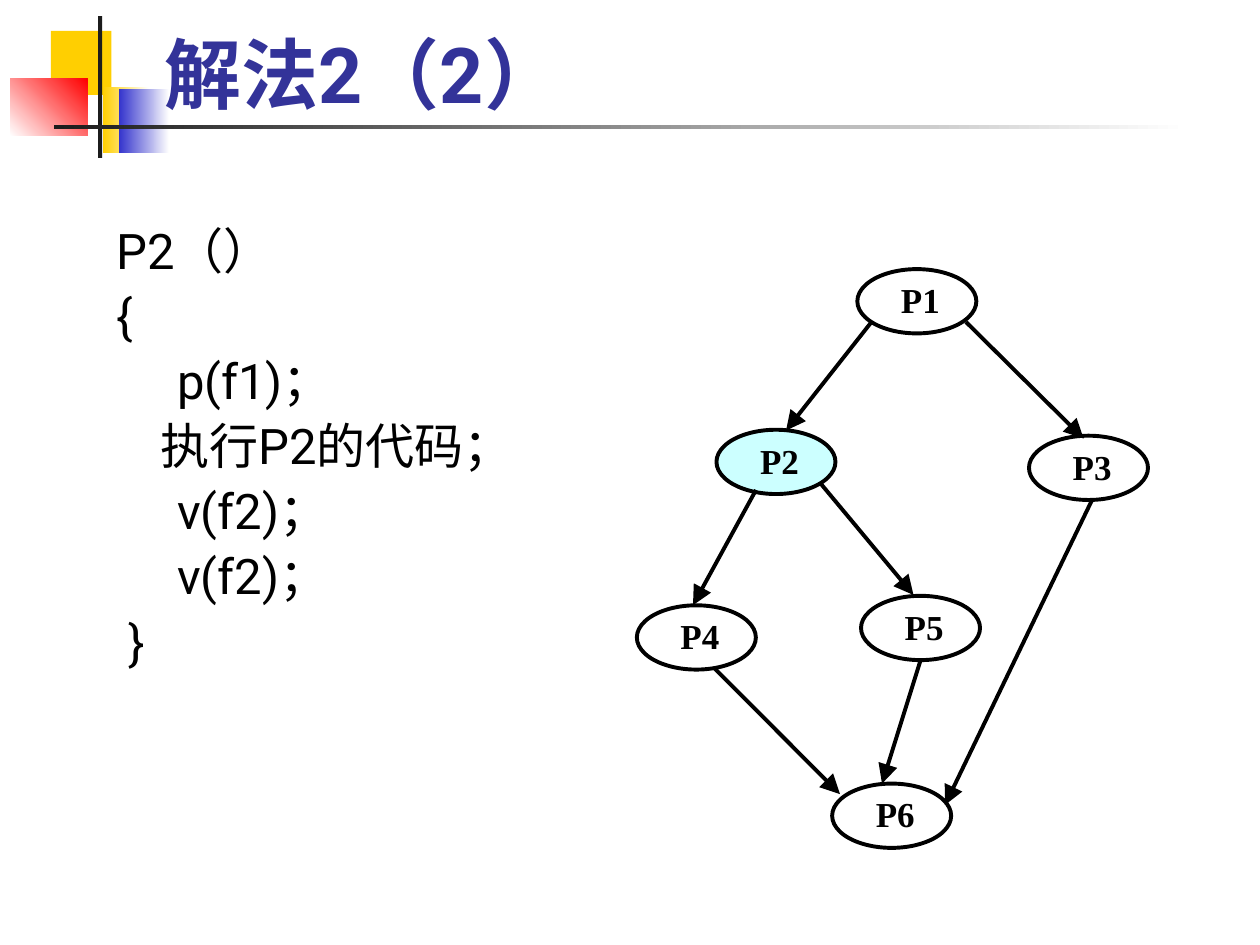
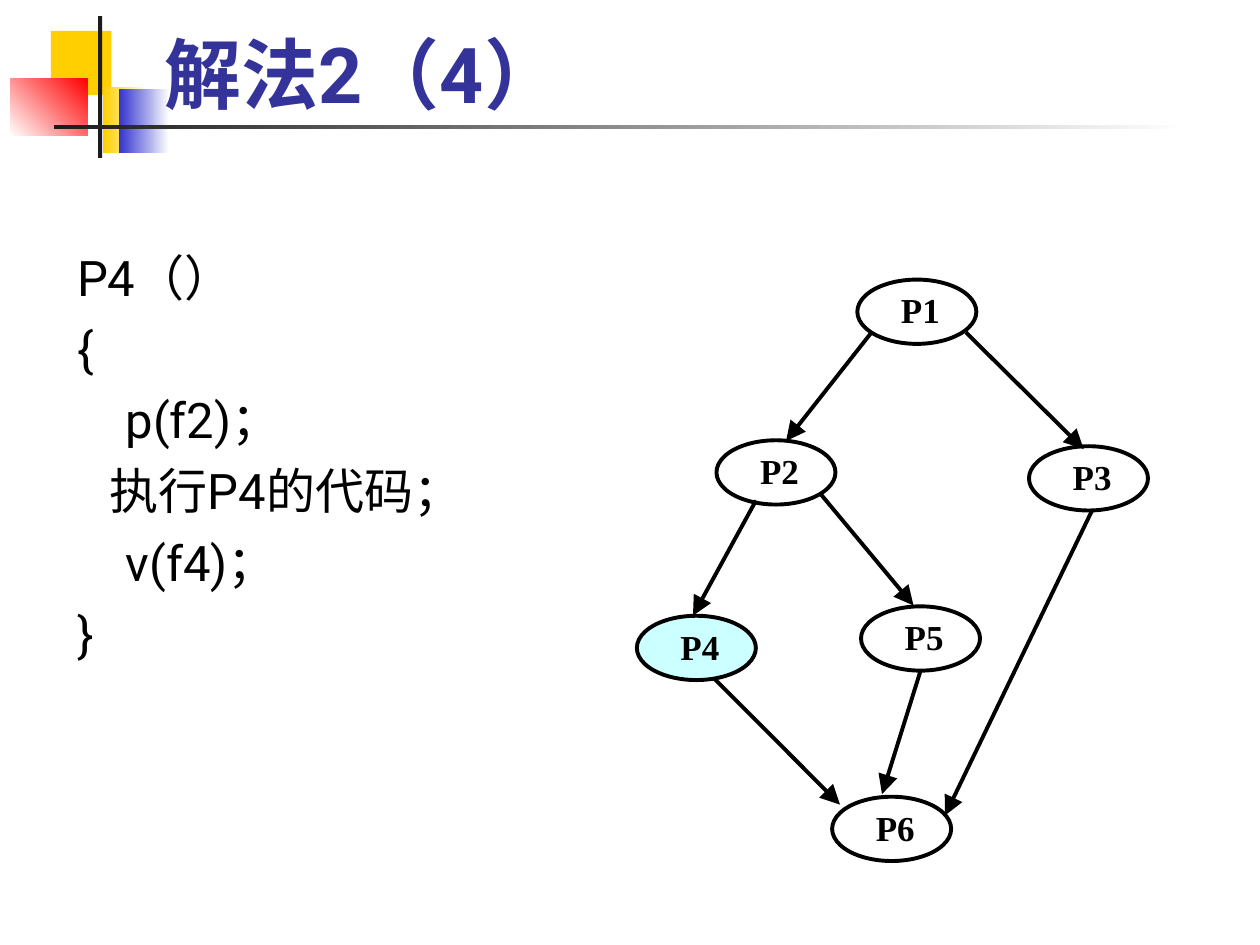
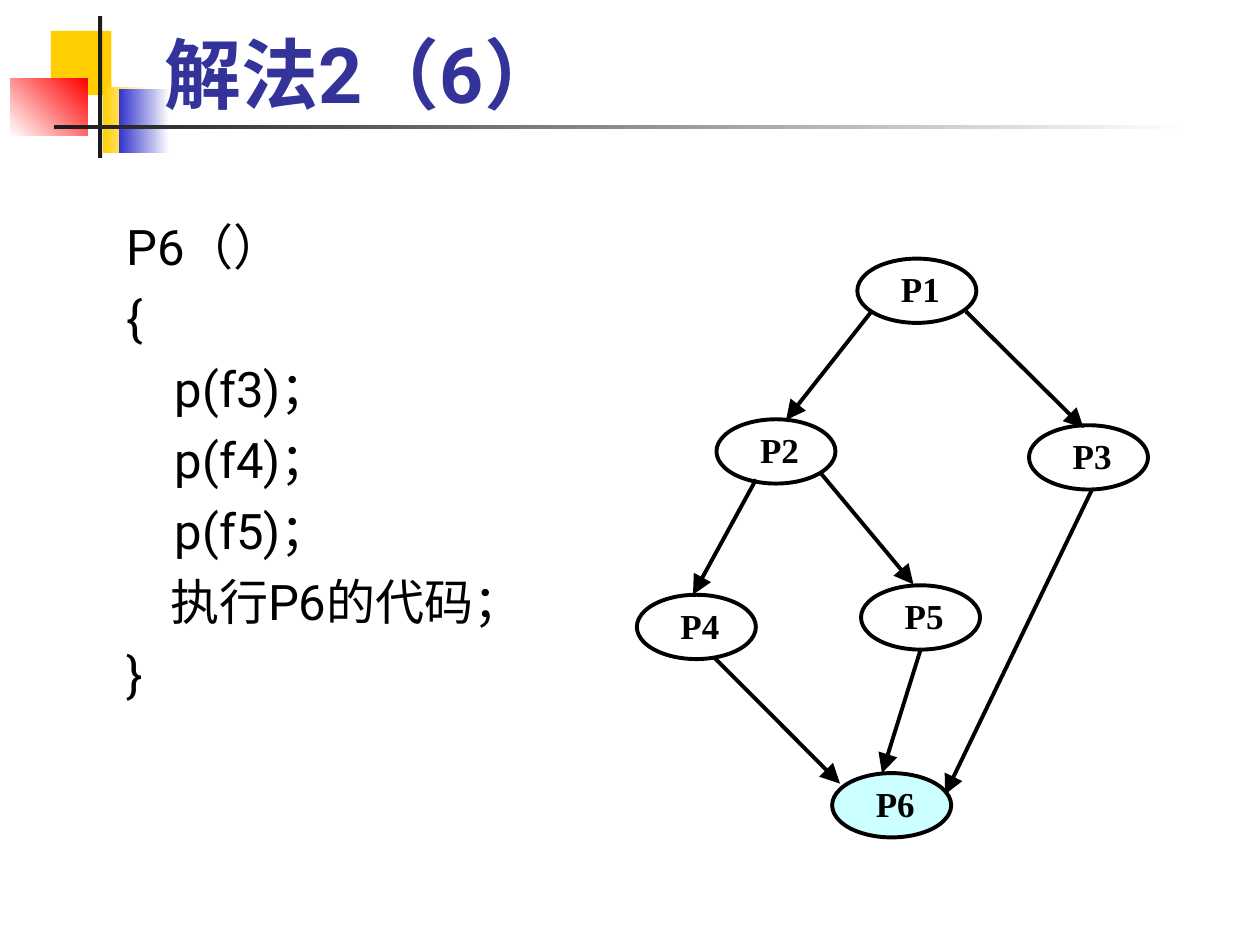
"""Build three slides on synchronising the process graph P1 to P6."""
import dataclasses
import typing

import lxml.etree
import pptx
import pptx.dml.color
import pptx.enum.shapes
import pptx.enum.text
import pptx.oxml.ns
import pptx.slide
import pptx.text.text
import pptx.util

Pt = pptx.util.Pt
PRESET = pptx.enum.shapes.MSO_SHAPE
ALIGN = pptx.enum.text.PP_ALIGN
ANCHOR = pptx.enum.text.MSO_ANCHOR

COLORS = {
    "yellow": "FFCF01",
    "blue": "3333CC",
    "red": "FF0000",
    "charcoal": "1C1C1C",
    "white": "FFFFFF",
    "black": "000000",
    "title": "333399",
    "highlight": "CCFFFF",
}
CODE_FONT = "Roboto"
NODE_FONT = "Times New Roman"
NODE_SIZE = (68, 36.75)
STROKE = 2.25
HANGING = 27
LABEL_INDENT = 15
TITLE_BOX = (86.75, 11.75, 613.5, 59.75)


@dataclasses.dataclass(frozen=True)
class Band:
    box: tuple[float, float, float, float]
    start: str
    end: str = ""
    angle: float = 0


@dataclasses.dataclass(frozen=True)
class Node:
    label: str
    left: float
    top: float


@dataclasses.dataclass(frozen=True)
class Edge:
    start: tuple[float, float]
    end: tuple[float, float]


@dataclasses.dataclass(frozen=True)
class Step:
    title: str
    active: str
    code: tuple[str, ...]
    code_box: tuple[float, float, float, float]
    line_spacing: float
    graph_shift: float
    sink_shift: float


BANDS = (
    Band((29.1, 17.6, 34.5, 36.75), "yellow"),
    Band((59, 49.75, 26, 37.5), "yellow", "white"),
    Band((68, 51, 28.8, 36.75), "blue", "white"),
    Band((5.75, 45, 44.4, 32.5), "white", "red", 45),
    Band((56, 9.2, 2.4, 81), "charcoal"),
    Band((31, 71.4, 648, 2.3), "charcoal", "white"),
)
SINK = "P6"
NODES = (
    Node("P1", 489.9, 153.8),
    Node("P2", 409.4, 245.6),
    Node("P3", 588, 249),
    Node("P4", 363.9, 345.9),
    Node("P5", 492, 340.5),
    Node(SINK, 475.5, 447.8),
)
EDGES = (
    Edge((498, 184), (449.2, 246)),
    Edge((552, 184), (619.2, 250.6)),
    Edge((432, 280), (396, 345.8)),
    Edge((408.2, 381.8), (480, 453.8)),
    Edge((624, 285.8), (540, 460)),
    Edge((468.7, 276), (522, 340)),
    Edge((526, 377.4), (504, 447.8)),
)
STEPS = (
    Step(
        "解法2（2）", "P2",
        ("P2（）", "{", "     p(f1)；", "    执行P2的代码；",
         "     v(f2)；", "     v(f2)；", " }"),
        (59.5, 126, 266.4, 279.4), 0.9, 0, 0,
    ),
    Step(
        "解法2（4）", "P4",
        ("P4（）", "{", "    p(f2)；", "   执行P4的代码；", "    v(f4)；", "}"),
        (37, 138, 247, 262), 1, 6, 7.5,
    ),
    Step(
        "解法2（6）", "P6",
        ("P6（）", "{", "    p(f3)；", "    p(f4)；", "    p(f5)；",
         "    执行P6的代码；", "}"),
        (65.1, 120.2, 249, 314.6), 1, -6, -6,
    ),
)


def rgb(name: str) -> pptx.dml.color.RGBColor:
    return pptx.dml.color.RGBColor.from_string(COLORS[name])


def lengths(values: typing.Iterable[float]) -> list[pptx.util.Length]:
    return [Pt(value) for value in values]


def style_runs(paragraph: pptx.text.text._Paragraph, font: str, size: float,
               color: str, bold: bool = False) -> None:
    for run in paragraph.runs:
        run.font.name = font
        run.font.size = Pt(size)
        run.font.bold = bold
        run.font.color.rgb = rgb(color)


def add_bands(slide: pptx.slide.Slide, layout: pptx.slide.SlideLayout) -> None:
    for order, band in enumerate(BANDS):
        shape = slide.shapes.add_shape(PRESET.RECTANGLE, *lengths(band.box))
        shape.shadow.inherit = False
        shape.line.fill.background()
        if band.end:
            shape.fill.gradient()
            shape.fill.gradient_angle = band.angle
            for stop, color in zip(shape.fill.gradient_stops, (band.start, band.end)):
                stop.color.rgb = rgb(color)
        else:
            shape.fill.solid()
            shape.fill.fore_color.rgb = rgb(band.start)
        shape.element.nvSpPr.cNvPr.id = 20 + order
        layout.shapes.element.insert(2 + order, shape.element)


def set_title(slide: pptx.slide.Slide, text: str) -> None:
    title = slide.shapes.title
    title.left, title.top, title.width, title.height = lengths(TITLE_BOX)
    frame = title.text_frame
    frame.text = text
    frame.auto_size = pptx.enum.text.MSO_AUTO_SIZE.NONE
    frame.vertical_anchor = ANCHOR.BOTTOM
    frame.paragraphs[0].alignment = ALIGN.LEFT
    style_runs(frame.paragraphs[0], CODE_FONT, 44, "title", bold=True)


def add_code(slide: pptx.slide.Slide, step: Step) -> None:
    frame = slide.shapes.add_textbox(*lengths(step.code_box)).text_frame
    frame.word_wrap = True
    frame.text = "\n".join(step.code)
    for index, paragraph in enumerate(frame.paragraphs):
        paragraph.alignment = ALIGN.JUSTIFY
        paragraph.line_spacing = step.line_spacing
        paragraph.space_before = Pt(7 if index else 0)
        properties = paragraph._p.get_or_add_pPr()
        properties.set("marL", str(Pt(HANGING)))
        properties.set("indent", str(-Pt(HANGING)))
        properties.set("hangingPunct", "0")
        style_runs(paragraph, CODE_FONT, 28, "black")


def add_node(slide: pptx.slide.Slide, node: Node, shift: float, active: bool) -> None:
    oval = slide.shapes.add_shape(
        PRESET.OVAL, *lengths((node.left, node.top + shift, *NODE_SIZE)))
    oval.shadow.inherit = False
    oval.fill.solid()
    oval.fill.fore_color.rgb = rgb("highlight" if active else "white")
    oval.line.color.rgb = rgb("black")
    oval.line.width = Pt(STROKE)
    frame = oval.text_frame
    frame.margin_left = Pt(LABEL_INDENT)
    frame.margin_top = frame.margin_right = frame.margin_bottom = Pt(0)
    frame.vertical_anchor = ANCHOR.TOP
    frame.text = node.label
    frame.paragraphs[0].alignment = ALIGN.JUSTIFY
    style_runs(frame.paragraphs[0], NODE_FONT, 20, "black", bold=True)


def add_edge(slide: pptx.slide.Slide, edge: Edge, shift: float) -> None:
    (x1, y1), (x2, y2) = edge.start, edge.end
    arrow = slide.shapes.add_connector(
        pptx.enum.shapes.MSO_CONNECTOR.STRAIGHT,
        *lengths((x1, y1 + shift, x2, y2 + shift)))
    arrow.line.color.rgb = rgb("black")
    arrow.line.width = Pt(STROKE)
    qn = pptx.oxml.ns.qn
    lxml.etree.SubElement(arrow.line._get_or_add_ln(), qn("a:tailEnd"),
                          type="triangle", w="lg", len="lg")
    lxml.etree.SubElement(arrow.element.spPr, qn("a:effectLst"))


def add_graph(slide: pptx.slide.Slide, step: Step) -> None:
    for node in NODES:
        shift = step.sink_shift if node.label == SINK else step.graph_shift
        add_node(slide, node, shift, node.label == step.active)
    for edge in EDGES:
        add_edge(slide, edge, step.graph_shift)


def main() -> None:
    deck = pptx.Presentation()
    deck.slide_width, deck.slide_height = Pt(720), Pt(540)
    layout = deck.slide_layouts.get_by_name("Title Only")
    for index, step in enumerate(STEPS):
        slide = deck.slides.add_slide(layout)
        if index == 0:
            add_bands(slide, layout)
        set_title(slide, step.title)
        add_code(slide, step)
        add_graph(slide, step)
    deck.save("out.pptx")


if __name__ == "__main__":
    main()
